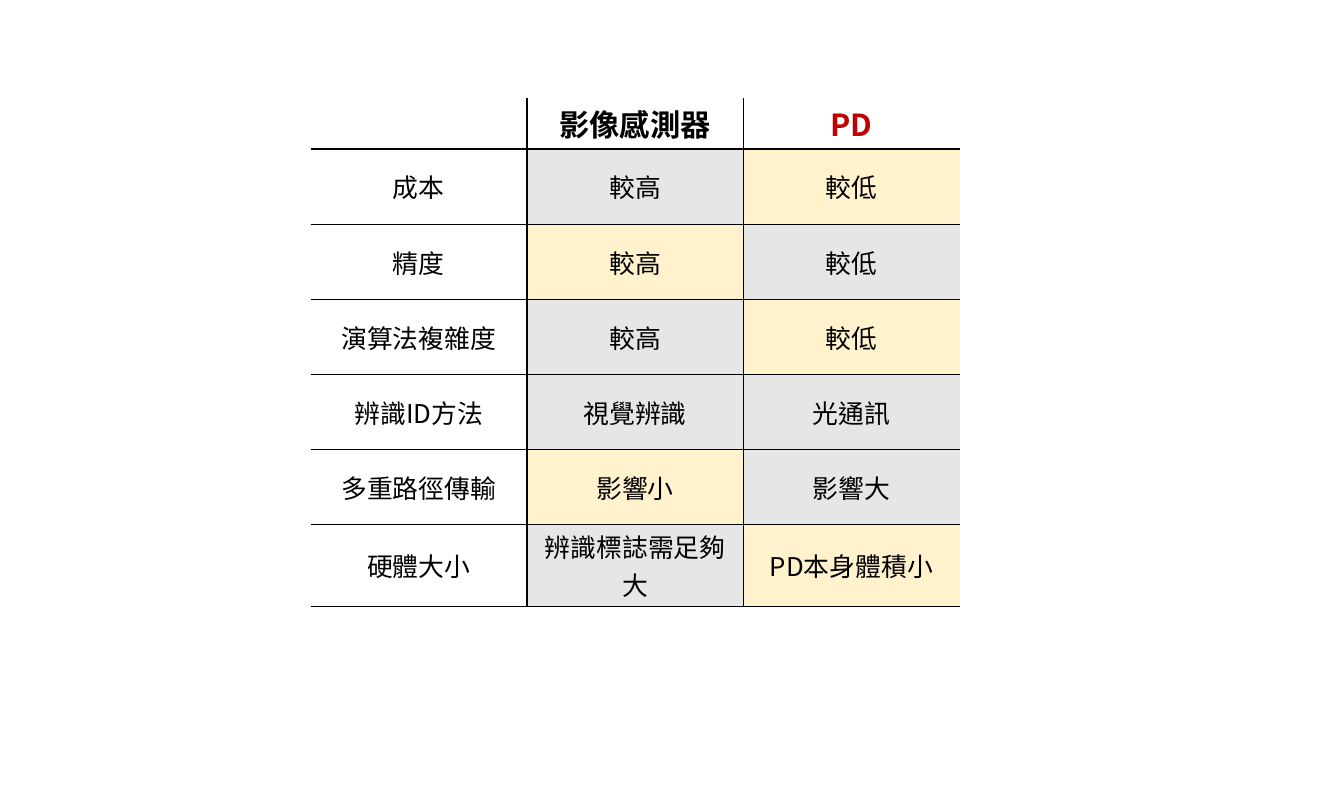
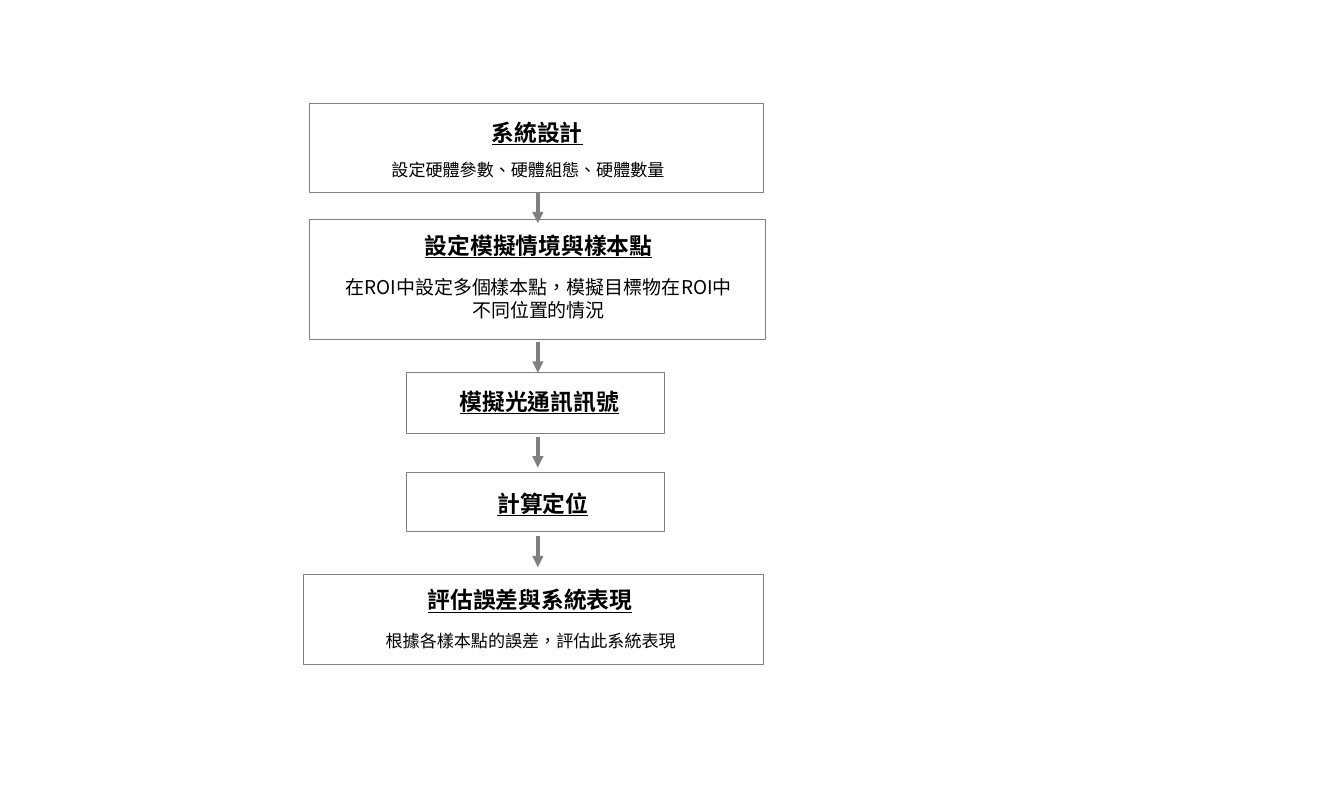
from dataclasses import dataclass
from typing import Optional

from lxml.etree import SubElement as Sub
from pptx import Presentation
from pptx.dml.color import RGBColor as Rgb
from pptx.enum.shapes import MSO_CONNECTOR as Conn, MSO_SHAPE as Shape
from pptx.enum.text import MSO_ANCHOR as Anchor, MSO_AUTO_SIZE as Fit, PP_ALIGN as Align
from pptx.oxml.ns import qn
from pptx.util import Inches, Pt


@dataclass(frozen=True)
class Theme:
    font: str = "Noto Sans CJK SC"
    lang: str = "zh-TW"
    ink: str = "000000"
    red: str = "C00000"
    line: str = "808080"
    gray: str = "E7E6E6"
    gold: str = "FFF2CC"
    head: float = 32
    cell: float = 27.2
    title: float = 24
    thin: float = 1
    thick: float = 2.25
    arrow: float = 4


T = Theme()


@dataclass(frozen=True)
class Label:
    text: str
    left: float
    top: float
    width: float
    height: float = 0.5
    size: float = T.title
    strong: bool = True
    align: Optional[Align] = Align.CENTER


@dataclass(frozen=True)
class Step:
    left: float
    top: float
    width: float
    height: float
    labels: tuple[Label, ...]
    joined: bool = False


# Table content: row name, then the two values with their fills
HEADS = ("", "影像感測器", "PD")
ROWS = (
    ("成本", ("較高", T.gray), ("較低", T.gold)),
    ("精度", ("較高", T.gold), ("較低", T.gray)),
    ("演算法複雜度", ("較高", T.gray), ("較低", T.gold)),
    ("辨識ID方法", ("視覺辨識", T.gray), ("光通訊", T.gray)),
    ("多重路徑傳輸", ("影響小", T.gold), ("影響大", T.gray)),
    ("硬體大小", ("辨識標誌需足夠大", T.gray), ("PD本身體積小", T.gold)),
)

# Flow content, from top to bottom
STEPS = (
    Step(4.53, 1.51, 6.66, 1.31, (
        Label("系統設計", 7.03, 1.69, 1.68),
        Label("設定硬體參數、硬體組態、硬體數量", 5.43, 2.29, 4.61, 0.4, 18, False))),
    Step(4.53, 3.22, 6.68, 1.75, (
        Label("設定模擬情境與樣本點", 4.84, 3.34, 6.1),
        Label("在ROI中設定多個樣本點，模擬目標物在ROI中不同位置的情況",
              4.84, 3.99, 6.1, 0.77, 20, False)), True),
    Step(5.95, 5.46, 3.78, 0.89, (Label("模擬光通訊訊號", 6.28, 5.63, 3.24),)),
    Step(5.95, 6.92, 3.78, 0.87, (Label("計算定位", 7.19, 7.12, 1.6, align=None),)),
    Step(4.45, 8.42, 6.74, 1.31, (
        Label("評估誤差與系統表現", 5.81, 8.54, 3.91),
        Label("根據各樣本點的誤差，評估此系統表現", 4.47, 9.19, 6.61, 0.4, 18, False)), True),
)
MID, DROP = 7.88, 0.45
TOPS = (2.82, 5.01, 6.4, 7.86)


def write(frame, text: str, size: float, color: str = T.ink, bold: bool = False,
          under: bool = False, align: Optional[Align] = Align.CENTER) -> None:
    frame.text = text
    para = frame.paragraphs[0]
    para.alignment = align
    for run in para.runs:
        font = run.font
        font.name, font.size = T.font, Pt(size)
        font.bold, font.underline = bold, under
        font.color.rgb = Rgb.from_string(color)
        props = run._r.get_or_add_rPr()
        props.set("lang", T.lang)
        Sub(props, qn("a:ea"), typeface=T.font)


def rule(cell, side: str, width: float) -> None:
    """Add one cell border; width 0 means none."""
    edge = Sub(cell._tc.get_or_add_tcPr(), qn(f"a:ln{side}"), w=str(Pt(width)))
    if width:
        Sub(Sub(edge, qn("a:solidFill")), qn("a:srgbClr"), val=T.ink)
    else:
        Sub(edge, qn("a:noFill"))


def grid(slide) -> None:
    count = len(ROWS) + 1
    frame = slide.shapes.add_table(count, 3, Inches(4.55), Inches(1.44),
                                   Inches(9.5), Inches(7.3))
    table = frame.table
    table.first_row = table.horz_banding = False
    style = table._tbl.tblPr.find(qn("a:tableStyleId"))
    style.text = "{2D5ABB26-0587-4C30-8999-92F81FD0307C}"
    for col in table.columns:
        col.width = Inches(3.17)
    for i, row in enumerate(table.rows):
        row.height = Inches(1.1 if i else 0.69)

    # Border widths before and after each column and row
    cols = (0, T.thick, T.thin, 0)
    rows = (0, T.thick) + (T.thin,) * len(ROWS)
    data = [[(text, None) for text in HEADS]]
    data += [[(name, None), *vals] for name, *vals in ROWS]
    for r, line in enumerate(data):
        for c, (text, fill) in enumerate(line):
            cell = table.cell(r, c)
            cell.vertical_anchor = Anchor.MIDDLE
            for side, width in zip("LRTB", (cols[c], cols[c + 1], rows[r], rows[r + 1])):
                rule(cell, side, width)
            if fill:
                cell.fill.solid()
                cell.fill.fore_color.rgb = Rgb.from_string(fill)
            else:
                cell.fill.background()
            write(cell.text_frame, text, T.cell if r else T.head,
                  T.red if (r, c) == (0, 2) else T.ink, bold=r == 0)


def place(shapes, item: Label) -> None:
    box = shapes.add_textbox(Inches(item.left), Inches(item.top),
                             Inches(item.width), Inches(item.height))
    frame = box.text_frame
    frame.word_wrap = True
    frame.auto_size = Fit.SHAPE_TO_FIT_TEXT
    write(frame, item.text, item.size, bold=item.strong, under=item.strong,
          align=item.align)


def draw(slide, step: Step) -> None:
    shapes = slide.shapes.add_group_shape().shapes if step.joined else slide.shapes
    box = shapes.add_shape(Shape.RECTANGLE, Inches(step.left), Inches(step.top),
                           Inches(step.width), Inches(step.height))
    box.shadow.inherit = False
    box.fill.background()
    box.line.color.rgb = Rgb.from_string(T.line)
    box.line.width = Pt(T.thin)
    for item in step.labels:
        place(shapes, item)


def arrow(slide, top: float) -> None:
    link = slide.shapes.add_connector(Conn.STRAIGHT, Inches(MID), Inches(top),
                                      Inches(MID), Inches(top + DROP))
    link.line.color.rgb = Rgb.from_string(T.line)
    link.line.width = Pt(T.arrow)
    Sub(link.line._get_or_add_ln(), qn("a:tailEnd"), type="triangle")
    Sub(link._element.spPr, qn("a:effectLst"))


def main() -> None:
    deck = Presentation()
    deck.slide_width, deck.slide_height = Inches(19.69), Inches(11.81)
    blank = deck.slide_layouts[6]

    # Comparison table
    grid(deck.slides.add_slide(blank))

    # Simulation flow
    flow = deck.slides.add_slide(blank)
    for step in STEPS:
        draw(flow, step)
    for top in TOPS:
        arrow(flow, top)

    deck.save("out.pptx")


if __name__ == "__main__":
    main()
